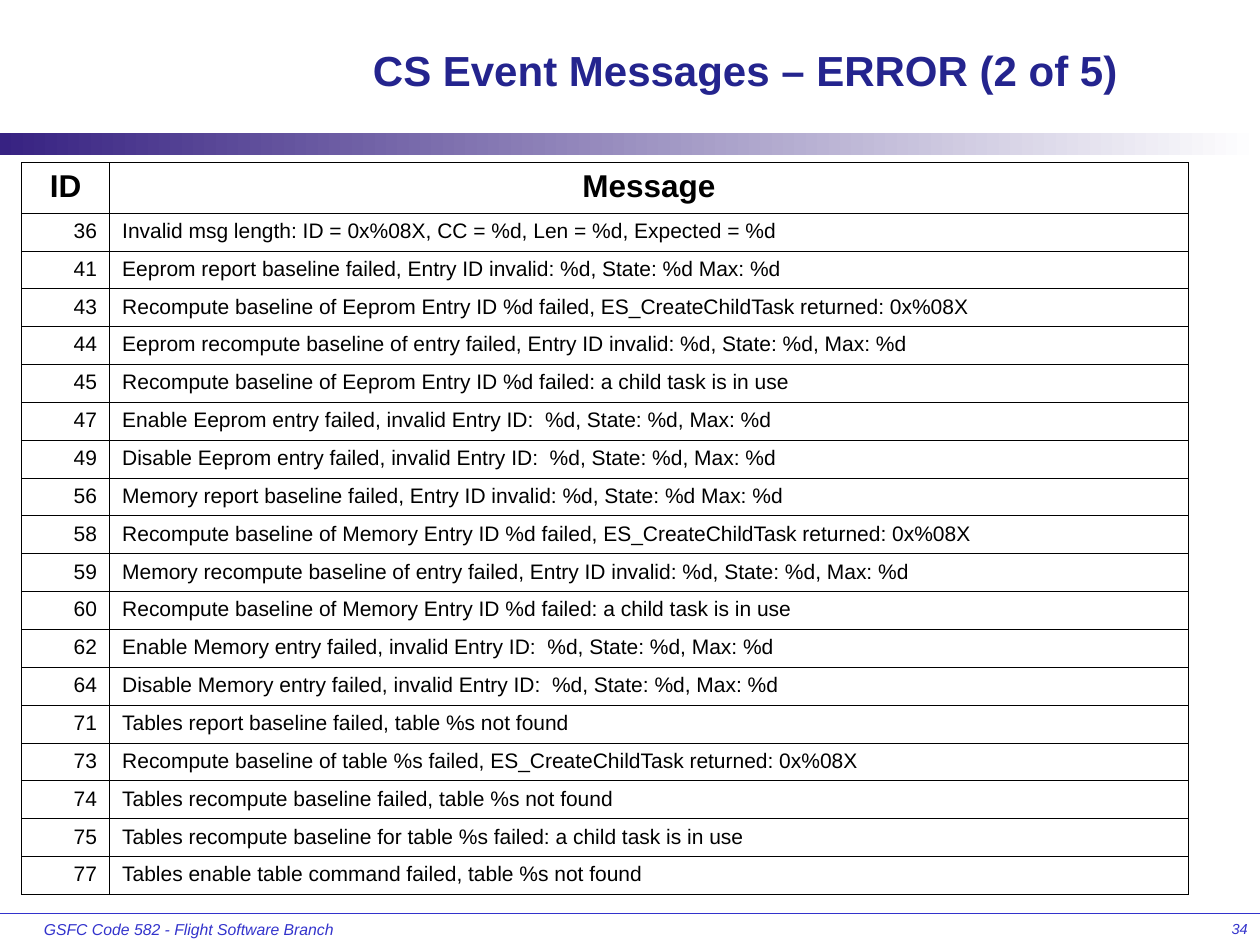
from dataclasses import dataclass

import lxml.etree
import pptx
import pptx.dml.color
import pptx.enum.shapes
import pptx.enum.text
import pptx.oxml.ns
import pptx.util

Inches = pptx.util.Inches
Align = pptx.enum.text.PP_ALIGN
Anchor = pptx.enum.text.MSO_ANCHOR
qn = pptx.oxml.ns.qn

TITLE = "CS Event Messages – ERROR (2 of 5)"
FOOTER = "GSFC Code 582 - Flight Software Branch"
PAGE_NUMBER = "34"
HEADER = ("ID", "Message")
MESSAGES = [
    ("36", "Invalid msg length: ID = 0x%08X, CC = %d, Len = %d, Expected = %d"),
    ("41", "Eeprom report baseline failed, Entry ID invalid: %d, State: %d Max: %d"),
    ("43", "Recompute baseline of Eeprom Entry ID %d failed, ES_CreateChildTask returned: 0x%08X"),
    ("44", "Eeprom recompute baseline of entry failed, Entry ID invalid: %d, State: %d, Max: %d"),
    ("45", "Recompute baseline of Eeprom Entry ID %d failed: a child task is in use"),
    ("47", "Enable Eeprom entry failed, invalid Entry ID:  %d, State: %d, Max: %d"),
    ("49", "Disable Eeprom entry failed, invalid Entry ID:  %d, State: %d, Max: %d"),
    ("56", "Memory report baseline failed, Entry ID invalid: %d, State: %d Max: %d"),
    ("58", "Recompute baseline of Memory Entry ID %d failed, ES_CreateChildTask returned: 0x%08X"),
    ("59", "Memory recompute baseline of entry failed, Entry ID invalid: %d, State: %d, Max: %d"),
    ("60", "Recompute baseline of Memory Entry ID %d failed: a child task is in use"),
    ("62", "Enable Memory entry failed, invalid Entry ID:  %d, State: %d, Max: %d"),
    ("64", "Disable Memory entry failed, invalid Entry ID:  %d, State: %d, Max: %d"),
    ("71", "Tables report baseline failed, table %s not found"),
    ("73", "Recompute baseline of table %s failed, ES_CreateChildTask returned: 0x%08X"),
    ("74", "Tables recompute baseline failed, table %s not found"),
    ("75", "Tables recompute baseline for table %s failed: a child task is in use"),
    ("77", "Tables enable table command failed, table %s not found"),
]
COLUMN_WIDTHS = (0.7, 8.56)
HEADER_HEIGHT, ROW_HEIGHT = 0.4, 0.3


@dataclass(frozen=True)
class Theme:
    font: str = "Arial"
    title: str = "24248E"
    footer: str = "3333CC"
    text: str = "000000"
    border: str = "000000"
    band_start: str = "372282"
    band_end: str = "FFFFFF"
    title_size: float = 24
    header_size: float = 18
    body_size: float = 12
    footer_size: float = 9
    page_size: float = 8.3
    border_width: float = 0.45
    rule_width: float = 0.75


THEME = Theme()


def rgb(color):
    return pptx.dml.color.RGBColor.from_string(color)


def write(frame, text, size, color, align=Align.LEFT, bold=False, italic=False):
    paragraph = frame.paragraphs[0]
    paragraph.alignment = align
    run = paragraph.add_run()
    run.text = text
    font = run.font
    font.name, font.size = THEME.font, pptx.util.Pt(size)
    font.bold, font.italic = bold, italic
    font.color.rgb = rgb(color)


def add_text(slide, box, text, size, color, anchor=Anchor.TOP, **style):
    frame = slide.shapes.add_textbox(*map(Inches, box)).text_frame
    frame.word_wrap = True
    frame.vertical_anchor = anchor
    write(frame, text, size, color, **style)


def add_borders(cell):
    properties = cell._tc.get_or_add_tcPr()
    for index, side in enumerate(("a:lnL", "a:lnR", "a:lnT", "a:lnB")):
        line = lxml.etree.Element(qn(side), w=str(pptx.util.Pt(THEME.border_width)))
        fill = lxml.etree.SubElement(line, qn("a:solidFill"))
        lxml.etree.SubElement(fill, qn("a:srgbClr"), val=THEME.border)
        properties.insert(index, line)


def add_master_marks(slide):
    rule = slide.shapes.add_connector(
        pptx.enum.shapes.MSO_CONNECTOR.STRAIGHT,
        Inches(0), Inches(7.25), Inches(10), Inches(7.25))
    rule.line.color.rgb = rgb(THEME.footer)
    rule.line.width = pptx.util.Pt(THEME.rule_width)
    lxml.etree.SubElement(rule._element.spPr, qn("a:effectLst"))

    band = slide.shapes.add_shape(
        pptx.enum.shapes.MSO_SHAPE.RECTANGLE,
        Inches(0), Inches(1.06), Inches(10), Inches(0.17))
    band.shadow.inherit = False
    band.line.fill.background()
    band.fill.gradient()
    band.fill.gradient_angle = 0
    for stop, color in zip(band.fill.gradient_stops, (THEME.band_start, THEME.band_end)):
        stop.color.rgb = rgb(color)


def add_message_table(slide):
    rows = [HEADER, *MESSAGES]
    heights = [HEADER_HEIGHT] + [ROW_HEIGHT] * len(MESSAGES)
    table = slide.shapes.add_table(
        len(rows), len(HEADER), Inches(0.17), Inches(1.29),
        Inches(sum(COLUMN_WIDTHS)), Inches(sum(heights))).table
    table.first_row = table.horz_banding = False
    for column, width in zip(table.columns, COLUMN_WIDTHS):
        column.width = Inches(width)
    for row_index, (values, height) in enumerate(zip(rows, heights)):
        table.rows[row_index].height = Inches(height)
        is_header = row_index == 0
        size = THEME.header_size if is_header else THEME.body_size
        aligns = (Align.CENTER, Align.CENTER) if is_header else (Align.RIGHT, Align.LEFT)
        for column_index, (value, align) in enumerate(zip(values, aligns)):
            cell = table.cell(row_index, column_index)
            cell.fill.background()
            add_borders(cell)
            write(cell.text_frame, value, size, THEME.text, align, bold=is_header)


def main():
    presentation = pptx.Presentation()
    presentation.slide_width, presentation.slide_height = Inches(10), Inches(7.5)
    slide = presentation.slides.add_slide(presentation.slide_layouts[6])
    add_master_marks(slide)
    add_text(slide, (0.25, 7.25, 2.5, 0.25), FOOTER,
             THEME.footer_size, THEME.footer, italic=True)
    add_text(slide, (7.92, 7.25, 2.08, 0.25), PAGE_NUMBER,
             THEME.page_size, THEME.footer, align=Align.RIGHT, italic=True)
    add_text(slide, (2.08, 0.17, 7.67, 0.76), TITLE, THEME.title_size, THEME.title,
             anchor=Anchor.MIDDLE, align=Align.CENTER, bold=True)
    add_message_table(slide)
    presentation.save("out.pptx")


if __name__ == "__main__":
    main()
